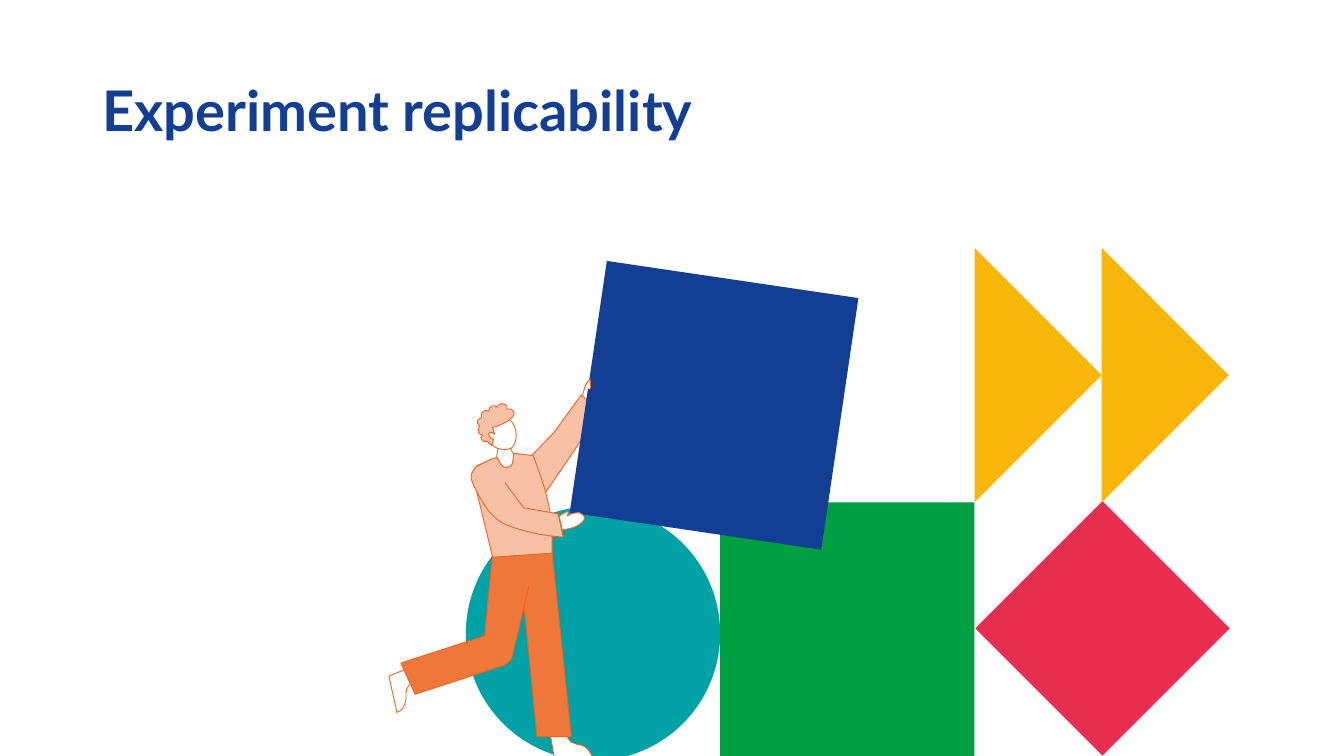
from lxml.etree import SubElement
from pptx import Presentation
from pptx.dml.color import RGBColor
from pptx.enum.shapes import MSO_SHAPE as Preset
from pptx.enum.text import MSO_ANCHOR as Anchor
from pptx.oxml.ns import qn
from pptx.util import Cm, Pt

NAVY = RGBColor(0x12, 0x3F, 0x93)
TEAL = RGBColor(0x01, 0xA2, 0xA6)
GREEN = RGBColor(0x00, 0xA0, 0x42)
RED = RGBColor(0xE8, 0x2E, 0x4F)
YELLOW = RGBColor(0xFB, 0xB6, 0x0C)
WHITE = RGBColor(0xFF, 0xFF, 0xFF)
PEACH = RGBColor(0xF7, 0xC1, 0xA6)
ORANGE = RGBColor(0xEF, 0x77, 0x39)
OUTLINE = RGBColor(0xEC, 0x65, 0x23)

SKETCH_LEFT, SKETCH_TOP, SKETCH_WIDTH = 386, 373, 215

FAR_ARM = [
    (WHITE, "M 597 373 C 594 372 590 377 587 383 C 587 383 586 383 586 383 "
            "C 586 381 587 378 586 377 C 584 377 581 382 580 386 L 577 396 L 582 402 "
            "C 585 401 589 396 593 390 C 598 382 601 375 597 373 Z"),
    (PEACH, "M 526 454 L 550 429 L 577 392 L 595 407 C 595 407 576 439 564 456 L 536 497 "
            "L 526 454 Z"),
]

FEET = [
    (WHITE, "M 546 728 L 562 728 C 562 730 563 732 564 733 C 565 736 568 738 571 738 "
            "C 572 739 574 739 575 739 C 579 740 583 742 585 746 C 586 747 587 749 588 751 "
            "L 550 751 L 546 728 Z"),
    (WHITE, "M 408 662 L 411 677 C 409 678 408 679 406 680 C 404 682 403 685 403 688 "
            "C 403 690 403 691 403 693 C 403 697 401 701 399 704 C 398 705 396 706 394 707 "
            "L 386 671 L 408 662 Z"),
]

LEGS = [
    (ORANGE, "M 515 549 L 548 549 L 567 731 L 533 731 L 515 549 Z"),
    (ORANGE, "M 525 582 L 508 653 C 506 657 502 660 498 661 L 412 689 L 398 658 L 481 631 "
             "L 489 549 L 531 549"),
]

HEAD = [
    (WHITE, "M 493 442 C 493 443 494 445 494 445 C 494 446 494 446 494 447 "
            "C 494 449 493 451 493 453 L 497 461 C 500 466 508 465 509 460 L 511 451 "
            "C 510 451 507 447 507 445"),
    (WHITE, "M 483 437 C 484 439 486 441 489 442 C 495 447 503 447 507 445 "
            "C 512 443 515 429 509 420 C 502 410 491 406 484 411 C 477 416 477 427 483 437 Z"),
]

FINGER = [
    (WHITE, "M 586 386 C 586 386 586 383 586 383 C 586 381 586 378 586 377 "
            "C 584 377 582 381 580 385"),
]

SWEATER_AND_HAIR = [
    (PEACH, "M 474 462 L 493 454 L 497 461 C 500 466 508 465 509 458 L 510 450 L 528 452 "
            "C 529 452 530 453 530 454 L 537 474 C 543 491 547 509 548 527 L 548 549 "
            "L 489 553 L 470 475 L 472 464 C 473 463 473 462 474 462 Z"),
    (PEACH, "M 510 408 C 508 406 506 405 503 406 C 503 405 503 404 503 403 "
            "C 502 401 498 400 496 401 C 495 402 494 403 494 404 C 492 403 490 402 488 403 "
            "C 486 404 485 406 485 408 C 484 407 482 407 480 408 C 478 409 477 412 478 414 "
            "C 477 415 477 415 477 415 C 474 416 473 419 475 422 C 475 422 475 423 476 423 "
            "C 475 425 474 427 475 429 C 476 431 477 431 479 432 C 477 433 477 435 478 436 "
            "C 479 438 481 439 483 438 C 483 438 484 438 484 438 C 485 439 487 441 488 442 "
            "C 489 440 489 438 490 436 C 489 436 488 435 487 434 C 486 433 485 432 485 431 "
            "C 485 430 486 429 487 429 C 489 429 490 431 491 431 C 490 429 490 427 489 424 "
            "C 492 424 494 423 496 422 C 499 421 501 419 504 418 C 505 417 506 416 507 415 "
            "C 510 414 511 410 510 408 Z"),
]

NEAR_ARM = [
    (WHITE, "M 563 512 C 566 510 569 509 572 509 C 574 508 576 509 577 510 "
            "C 579 511 580 512 580 514 C 580 516 579 517 578 518 C 574 522 569 524 563 525 "
            "C 561 526 560 526 558 526 L 555 512 C 557 511 560 509 562 508 "
            "C 563 507 564 508 564 509 L 563 512 Z"),
    (PEACH, "M 501 479 L 520 504 L 554 510 L 559 533 C 559 533 530 532 503 521 "
            "C 497 519 490 513 485 507 C 480 500 471 486 468 476 C 466 470 471 465 473 463 "
            "C 473 463 489 455 489 455"),
]


def bend_curves(part, commands):
    segments = iter(list(part._element.iter(qn("a:lnTo"))))
    for command in commands:
        segment = next(segments)
        if command == "C":
            curve = segment.makeelement(qn("a:cubicBezTo"))
            segment.addprevious(curve)
            for corner in (segment, next(segments), next(segments)):
                point = corner[0]
                SubElement(curve, qn("a:pt"), x=point.get("x"), y=point.get("y"))
                corner.getparent().remove(corner)


def add_person_parts(slide, box, parts):
    left, top, width = box
    unit = width / SKETCH_WIDTH
    for color, outline in parts:
        tokens = outline.split()
        numbers = [int(token) for token in tokens if token.isdigit()]
        start, *others = [((x - SKETCH_LEFT) * unit, (y - SKETCH_TOP) * unit)
                          for x, y in zip(numbers[::2], numbers[1::2])]
        builder = slide.shapes.build_freeform(*start)
        builder.add_line_segments(others, close=tokens[-1] == "Z")
        part = builder.convert_to_shape(left, top)
        bend_curves(part, [token for token in tokens if token in "LC"])
        part.shadow.inherit = False
        part.fill.solid()
        part.fill.fore_color.rgb = color
        part.line.color.rgb = OUTLINE
        part.line.width = Pt(0.66)


def add_block(slide, preset, color, left, top, width, height, rotation=0):
    block = slide.shapes.add_shape(preset, int(left), int(top), int(width), int(height))
    block.rotation = rotation
    block.shadow.inherit = False
    block.fill.solid()
    block.fill.fore_color.rgb = color
    block.line.fill.background()


def add_title(slide, left, top, width, height):
    frame = slide.shapes.add_textbox(left, top, width, height).text_frame
    frame.word_wrap = True
    frame.vertical_anchor = Anchor.MIDDLE
    title = frame.paragraphs[0]
    title.text = "Experiment replicability"
    title.line_spacing = 0.9
    title.font.name = "Lato"
    title.font.size = Pt(40)
    title.font.bold = True
    title.font.color.rgb = NAVY


def add_scene(slide, left, top, side):
    person = (left - Cm(1.94), top + Cm(3.22), Cm(5.46))
    lower = top + side
    third = left + 2 * side

    add_block(slide, Preset.OVAL, TEAL, left, lower + Cm(0.1), side, side)
    add_person_parts(slide, person, FAR_ARM)
    add_block(slide, Preset.RECTANGLE, GREEN, left + side, lower, side, side)
    add_block(slide, Preset.RECTANGLE, NAVY, left + Cm(3.05), top + Cm(0.76), side, side, 8.4)
    add_person_parts(slide, person, FEET + LEGS + HEAD + FINGER + SWEATER_AND_HAIR + NEAR_ARM)
    add_block(slide, Preset.DIAMOND, RED, third + Cm(0.02), lower - Cm(0.03), side, side)
    for column in (1, 0):
        add_block(slide, Preset.ISOSCELES_TRIANGLE, YELLOW,
                  third - side / 4 + column * side / 2, top + side / 4, side, side / 2, 90)


def main():
    deck = Presentation()
    deck.slide_width, deck.slide_height = Cm(33.87), Cm(19.05)
    slide = deck.slides.add_slide(deck.slide_layouts[6])
    add_title(slide, Cm(2.33), Cm(1.01), Cm(29.21), Cm(3.68))
    add_scene(slide, Cm(11.74), Cm(6.25), Cm(6.41))
    deck.save("out.pptx")


if __name__ == "__main__":
    main()
